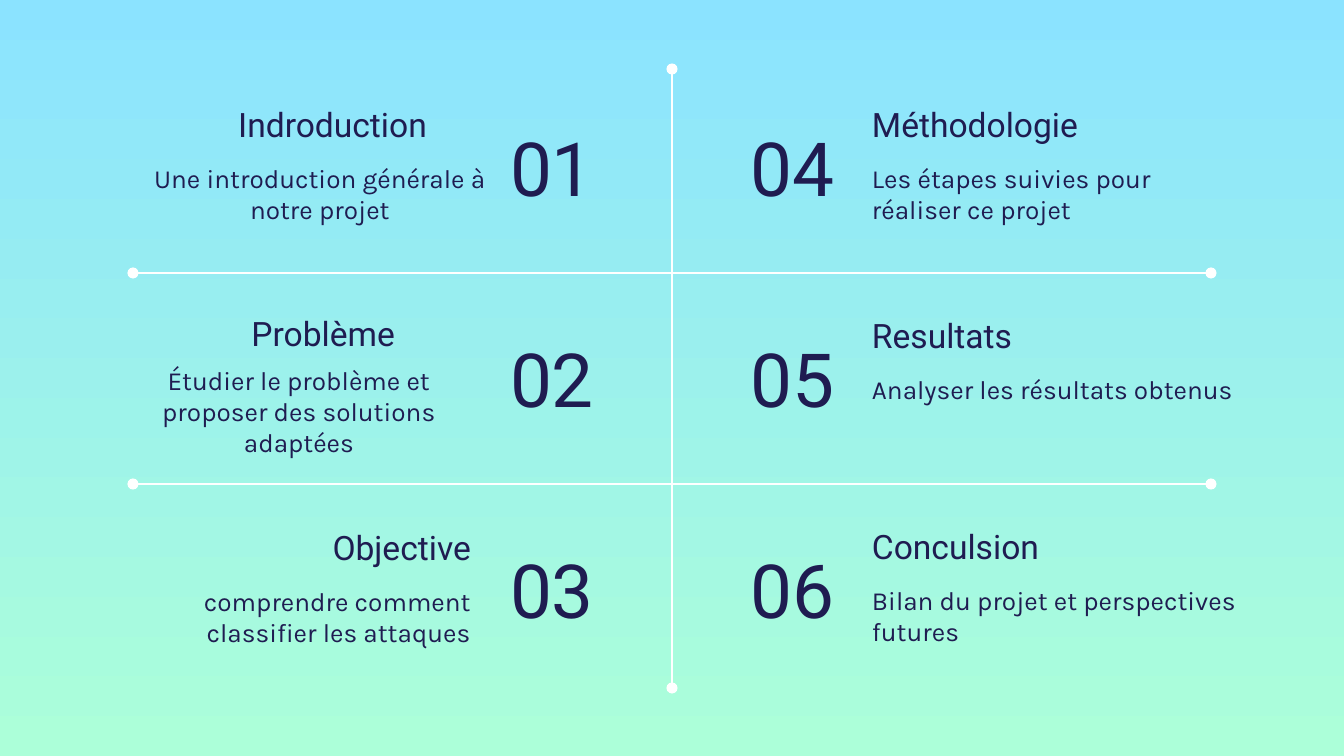
from pptx import Presentation
from pptx.dml.color import RGBColor
from pptx.enum.shapes import MSO_CONNECTOR
from pptx.enum.text import MSO_ANCHOR, PP_ALIGN
from pptx.oxml.ns import qn
from pptx.util import Pt
from lxml import etree

LEFT, CENTER, RIGHT = PP_ALIGN.LEFT, PP_ALIGN.CENTER, PP_ALIGN.RIGHT
TOP, MIDDLE, BOTTOM = MSO_ANCHOR.TOP, MSO_ANCHOR.MIDDLE, MSO_ANCHOR.BOTTOM
STRAIGHT = MSO_CONNECTOR.STRAIGHT

SCALE = 914400 / 134.4
THEME = {
    "ink": RGBColor.from_string("1F1C51"),
    "rule": RGBColor.from_string("FFFFFF"),
    "sky": RGBColor.from_string("8BE3FF"),
    "mint": RGBColor.from_string("ACFFD9"),
    "number": ("Roboto", 40),
    "heading": ("Roboto", 18),
    "body": ("Karla", 14),
    "rule_width": 1.5,
}


def px(*lengths):
    return [round(length * SCALE) for length in lengths]


def add_text(page, area, text, style, align, anchor):
    box = page.shapes.add_textbox(*px(*area))
    frame = box.text_frame
    frame.word_wrap = True
    frame.vertical_anchor = anchor
    inset = px(13)[0]
    frame.margin_left = frame.margin_right = inset
    frame.margin_top = frame.margin_bottom = inset
    para = frame.paragraphs[0]
    para.alignment = align
    span = para.add_run()
    span.text = text
    span.font.name, size = THEME[style]
    span.font.size = Pt(size)
    span.font.color.rgb = THEME["ink"]


deck = Presentation()
deck.slide_width, deck.slide_height = px(1344, 756)
page = deck.slides.add_slide(deck.slide_layouts[6])

backdrop = page.background.fill
backdrop.gradient()
backdrop.gradient_angle = 270
for stop, color, position in zip(backdrop.gradient_stops, ("sky", "mint"), (0, 1)):
    stop.color.rgb = THEME[color]
    stop.position = position

ROW_PITCH = 211
NUMBER_TOP, HEADING_TOP, BODY_TOP = 109, 90, 149
NUMBER_SIZE = (175, 116)
HEADING_HEIGHT, BODY_HEIGHT = 67, 93
RIGHT_COLUMN, TEXT_WIDTH = 859, 400

rules = [(672, 69, 672, 688)]
rules += [(133, 273 + row * ROW_PITCH, 1211, 273 + row * ROW_PITCH) for row in range(2)]
for ends in rules:
    rule = page.shapes.add_connector(STRAIGHT, *px(*ends))
    rule.line.color.rgb = THEME["rule"]
    rule.line.width = Pt(THEME["rule_width"])
    outline = rule.line._get_or_add_ln()
    for end in ("a:headEnd", "a:tailEnd"):
        etree.SubElement(outline, qn(end), type="oval")
    etree.SubElement(rule._element.spPr, qn("a:effectLst"))

left_topics = [
    ("Indroduction", (40, 90, 400), "Une introduction générale à notre projet", (120, 149, 400), CENTER),
    ("Problème", (209, 299, 199), "Étudier le problème et proposer des solutions adaptées", (102, 351, 394), CENTER),
    ("Objective", (288, 513, 196), "comprendre comment classifier les attaques", (84, 572, 400), RIGHT),
]
for row, (heading, heading_area, body, body_area, body_align) in enumerate(left_topics):
    number_area = (497, NUMBER_TOP + row * ROW_PITCH, *NUMBER_SIZE)
    add_text(page, number_area, f"{row + 1:02}", "number", LEFT, MIDDLE)
    add_text(page, (*heading_area, HEADING_HEIGHT), heading, "heading", RIGHT, BOTTOM)
    add_text(page, (*body_area, BODY_HEIGHT), body, "body", body_align, TOP)

right_topics = [
    ("Méthodologie", "Les étapes suivies pour réaliser ce projet"),
    ("Resultats", "Analyser les résultats obtenus"),
    ("Conculsion", "Bilan du projet et perspectives futures"),
]
for row, (heading, body) in enumerate(right_topics):
    shift = row * ROW_PITCH
    add_text(page, (672, NUMBER_TOP + shift, *NUMBER_SIZE), f"{row + 4:02}", "number", RIGHT, MIDDLE)
    add_text(page, (RIGHT_COLUMN, HEADING_TOP + shift, TEXT_WIDTH, HEADING_HEIGHT), heading, "heading", LEFT, BOTTOM)
    add_text(page, (RIGHT_COLUMN, BODY_TOP + shift, TEXT_WIDTH, BODY_HEIGHT), body, "body", LEFT, TOP)

deck.save("out.pptx")
